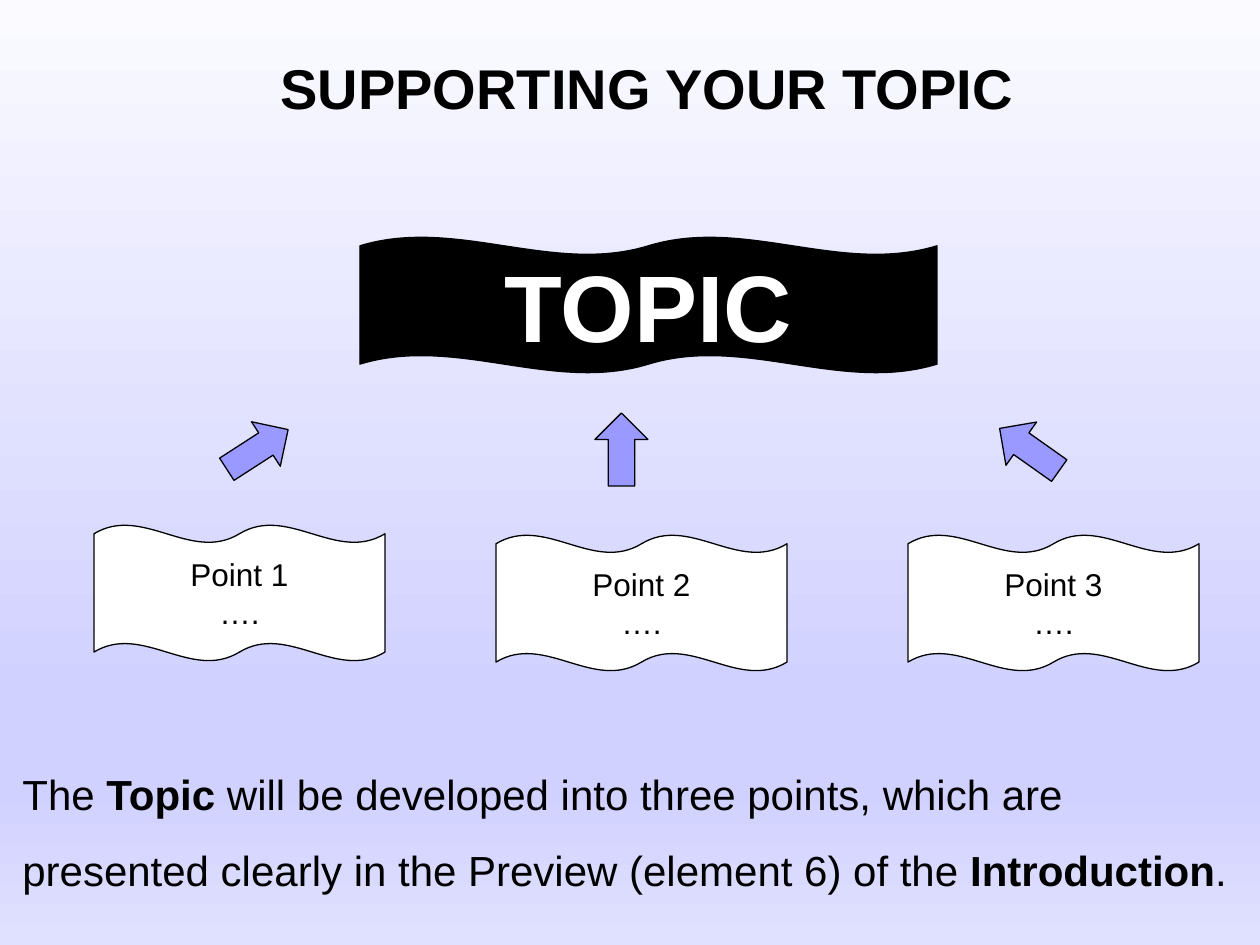
import pptx
import pptx.util
import pptx.dml.color
import pptx.enum.shapes
import pptx.enum.text
import pptx.oxml
import pptx.oxml.ns
from lxml import etree

# Content: places are (left, top, width, height) in px
PX_PER_INCH = 126
TITLE = ("SUPPORTING YOUR TOPIC", (38, 14, 1218, 147))
TOPIC = ("TOPIC", (360, 237, 577, 136))
POINTS = [("Point 1", 94, 525), ("Point 2", 496, 535), ("Point 3", 908, 535)]
POINT_SIZE = (291, 136)
ARROWS = [(231, 57.1), (595, 0), (1003, 305.3)]  # left, rotation
ARROW_TOP, ARROW_SIZE = 413, (53, 73)
SUMMARY_PLACE = (10, 737, 1250, 156)
SUMMARY = [
    ("The ", False),
    ("Topic", True),
    (" will be developed into three points, which are presented clearly "
     "in the Preview (element 6) of the ", False),
    ("Introduction", True),
    (".", False),
]
BACKGROUND = [(0, "FAFAFF"), (74, "D1D1FF"), (83, "D1D1FF"), (100, "E0E0FF")]

SHAPES = pptx.enum.shapes.MSO_SHAPE
CENTER = pptx.enum.text.PP_ALIGN.CENTER
MIDDLE = pptx.enum.text.MSO_ANCHOR.MIDDLE


def px(value):
    return round(value * pptx.util.Inches(1) / PX_PER_INCH)


def place_of(place):
    return [px(value) for value in place]


def color(hex_string):
    return pptx.dml.color.RGBColor.from_string(hex_string)


def format_font(font, hex_string="000000", **values):
    for name, value in {"name": "Arial", "bold": False, **values}.items():
        setattr(font, name, value)
    font.color.rgb = color(hex_string)


def write_centered(frame, lines, wrap, **font_values):
    frame.word_wrap = wrap
    frame.vertical_anchor = MIDDLE
    frame.text = "\n".join(lines)
    for paragraph in frame.paragraphs:
        paragraph.alignment = CENTER
        for run in paragraph.runs:
            format_font(run.font, **font_values)


def add_outlined(slide, kind, place, fill):
    shape = slide.shapes.add_shape(kind, *place_of(place))
    shape.shadow.inherit = False
    shape.fill.solid()
    shape.fill.fore_color.rgb = color(fill)
    shape.line.color.rgb = color("000000")
    shape.line.width = pptx.util.Pt(0.75)
    return shape


def add_wave(slide, place, fill, lines, **font_values):
    wave = add_outlined(slide, SHAPES.DOUBLE_WAVE, place, fill)
    wave.adjustments[0] = 0.065
    write_centered(wave.text_frame, lines, False, **font_values)


def set_background(slide):
    fill = slide.background.fill
    fill.gradient()
    fill.gradient_angle = 270
    qn = pptx.oxml.ns.qn
    stops = next(slide.element.iter(qn("a:gsLst")))
    for stop in list(stops):
        stops.remove(stop)
    for percent, hex_string in BACKGROUND:
        stop = etree.SubElement(stops, qn("a:gs"), pos=str(percent * 1000))
        etree.SubElement(stop, qn("a:srgbClr"), val=hex_string)


def main():
    presentation = pptx.Presentation()
    presentation.slide_width = pptx.util.Inches(10)
    presentation.slide_height = pptx.util.Inches(7.5)
    slide = presentation.slides.add_slide(presentation.slide_layouts[5])
    set_background(slide)

    # Title
    text, place = TITLE
    title = slide.shapes.title
    title.left, title.top, title.width, title.height = place_of(place)
    write_centered(title.text_frame, [text], True, size=pptx.util.Pt(32), bold=True)

    # Topic and point banners
    text, place = TOPIC
    add_wave(slide, place, "000000", [text], hex_string="FFFFFF",
             size=pptx.util.Pt(54), bold=True)
    for text, left, top in POINTS:
        add_wave(slide, (left, top, *POINT_SIZE), "FFFFFF", [text, "…."],
                 size=pptx.util.Pt(18))

    # Arrows from the points to the topic
    for left, rotation in ARROWS:
        arrow = add_outlined(slide, SHAPES.UP_ARROW,
                             (left, ARROW_TOP, *ARROW_SIZE), "9999FF")
        arrow.rotation = rotation

    # Summary sentence
    frame = slide.shapes.add_textbox(*place_of(SUMMARY_PLACE)).text_frame
    frame.word_wrap = True
    paragraph = frame.paragraphs[0]
    paragraph.line_spacing = 1.5
    for text, bold in SUMMARY:
        run = paragraph.add_run()
        run.text = text
        format_font(run.font, size=pptx.util.Pt(24), bold=bold)

    presentation.save("out.pptx")


if __name__ == "__main__":
    main()
